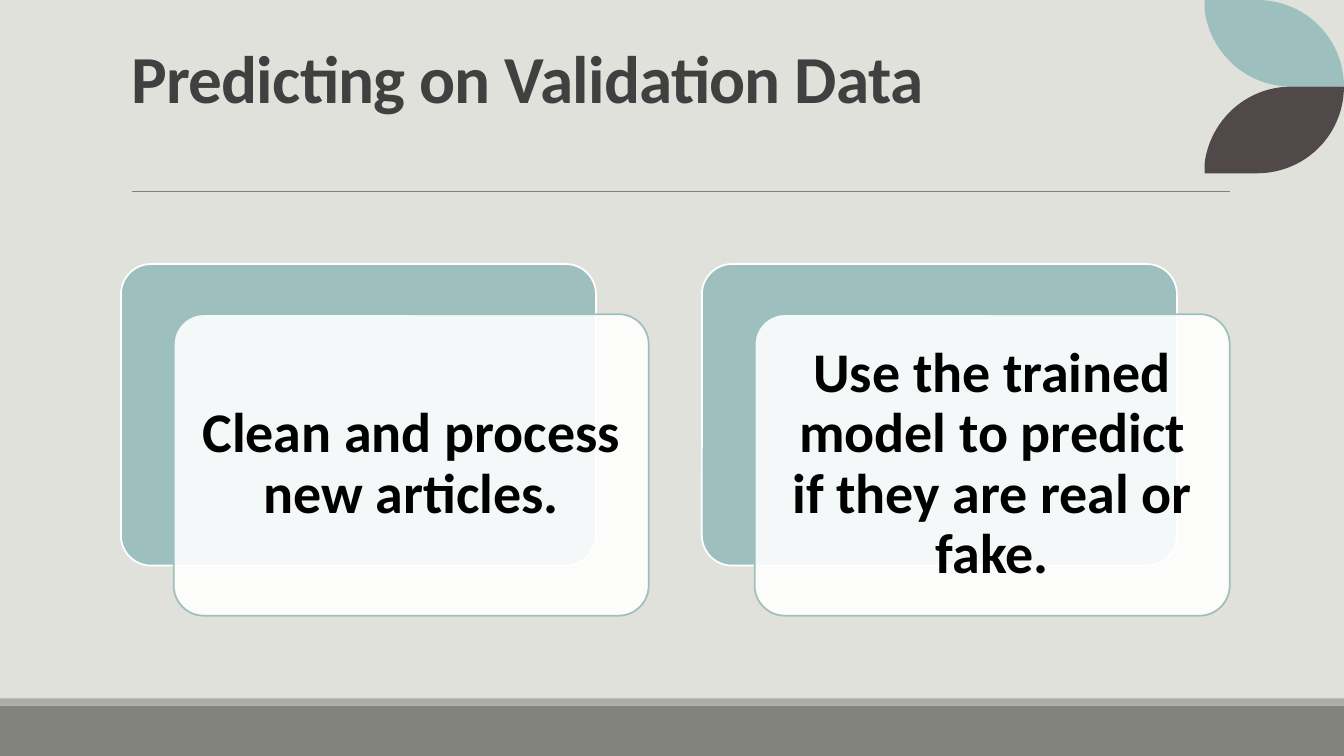
from dataclasses import dataclass

from lxml.etree import SubElement
from pptx import Presentation
from pptx.dml.color import RGBColor
from pptx.enum.shapes import MSO_CONNECTOR as Connector, MSO_SHAPE as Shape
from pptx.enum.text import MSO_ANCHOR as Anchor, MSO_AUTO_SIZE as AutoSize, PP_ALIGN as Align
from pptx.oxml.ns import qn
from pptx.util import Pt


@dataclass(frozen=True)
class Theme:
    font: str = "Calibri"
    title_size: float = 48
    card_size: float = 40
    background: str = "E1E1DB"
    footer: str = "82847C"
    footer_edge: str = "ACADA8"
    rule: str = "808080"
    teal: str = "9DBFBE"
    brown: str = "514949"
    title: str = "404040"
    ink: str = "000000"
    white: str = "FFFFFF"


def apply(target, formats):
    for name, value in formats.items():
        setattr(target, name, value)


def curve(start, control_1, control_2, end, steps=24):
    """Points along a cubic Bezier curve, without its start."""
    points = []
    for step in range(1, steps + 1):
        t = step / steps
        weights = (1 - t) ** 3, 3 * t * (1 - t) ** 2, 3 * t ** 2 * (1 - t), t ** 3
        corners = list(zip(start, control_1, control_2, end))
        points.append(tuple(sum(w * c for w, c in zip(weights, axis)) for axis in corners))
    return points


class SlideBuilder:
    def __init__(self, slide, theme):
        self.slide, self.theme = slide, theme
        self.paint(slide.background.fill, theme.background)

    def paint(self, fill, color, opacity=100):
        fill.solid()
        fill.fore_color.rgb = RGBColor.from_string(color)
        if opacity < 100:
            rgb = fill._xPr.find(qn("a:solidFill")).find(qn("a:srgbClr"))
            SubElement(rgb, qn("a:alpha")).set("val", str(opacity * 1000))

    def finish(self, shape, fill, outline=None, opacity=100):
        shape.shadow.inherit = False
        self.paint(shape.fill, fill, opacity)
        if outline:
            self.paint(shape.line.fill, outline)
            shape.line.width = Pt(1.25)
        else:
            shape.line.fill.background()

    def set_text(self, frame, text, size, color, frame_format, paragraph_format, tracking=0):
        apply(frame, {"word_wrap": True, "auto_size": AutoSize.NONE, **frame_format})
        paragraph = frame.paragraphs[0]
        apply(paragraph, paragraph_format)
        run = paragraph.add_run()
        run.text = text
        apply(run.font, {"name": self.theme.font, "size": Pt(size), "bold": True})
        run.font.color.rgb = RGBColor.from_string(color)
        if tracking:
            run._r.get_or_add_rPr().set("spc", str(int(tracking * 100)))

    def title(self, text, left, top, width, height):
        heading = self.slide.shapes.title
        apply(heading, {"left": Pt(left), "top": Pt(top), "width": Pt(width), "height": Pt(height)})
        # The deep bottom margin keeps one free line under the heading.
        self.set_text(heading.text_frame, text, self.theme.title_size, self.theme.title,
                      {"vertical_anchor": Anchor.BOTTOM, "margin_bottom": Pt(53.4)},
                      {"alignment": Align.LEFT, "line_spacing": 0.85}, tracking=-0.5)

    def band(self, top, height, color):
        band = self.slide.shapes.add_shape(Shape.RECTANGLE, 0, Pt(top), Pt(960), Pt(height))
        self.finish(band, color)

    def rule(self, left, right, y):
        rule = self.slide.shapes.add_connector(
            Connector.STRAIGHT, Pt(left), Pt(y), Pt(right), Pt(y))
        self.paint(rule.line.fill, self.theme.rule)
        rule.line.width = Pt(0.5)
        SubElement(rule._element.spPr, qn("a:effectLst"))

    def leaf(self, left, tip_y, direction, color):
        """Leaf from its tip at the left, growing down (1) or up (-1)."""
        outline = [(0, 0), (37.5, 0),
                   *curve((37.5, 0), (72, 0), (99.6, 27.6), (99.6, 61.9)), (62, 61.9),
                   *curve((62, 61.9), (29.5, 61.9), (3.6, 37.4), (0, 6.5))]
        points = [(Pt(left + x), Pt(tip_y + direction * y)) for x, y in outline]
        builder = self.slide.shapes.build_freeform(*points[0], scale=1.0)
        builder.add_line_segments(points[1:], close=True)
        self.finish(builder.convert_to_shape(), color)

    def rounded(self, left, top, fill, outline, opacity=100):
        panel = self.slide.shapes.add_shape(
            Shape.ROUNDED_RECTANGLE, Pt(left), Pt(top), Pt(339.3), Pt(215.4))
        panel.adjustments[0] = 0.1
        self.finish(panel, fill, outline, opacity)
        return panel

    def card(self, text, left, top):
        """White text panel offset over a teal one."""
        theme = self.theme
        self.rounded(left, top, theme.teal, theme.white)
        front = self.rounded(left + 37.7, top + 35.8, theme.white, theme.teal, opacity=90)
        sides = ("left", "top", "right", "bottom")
        margins = {f"margin_{side}": Pt(12) for side in sides}
        self.set_text(front.text_frame, text, theme.card_size, theme.ink,
                      {"vertical_anchor": Anchor.MIDDLE, **margins},
                      {"alignment": Align.CENTER, "line_spacing": 0.9})


def main():
    deck = Presentation()
    deck.slide_width, deck.slide_height = Pt(960), Pt(540)
    theme = Theme()
    page = SlideBuilder(deck.slides.add_slide(deck.slide_layouts[5]), theme)

    page.band(504, 36, theme.footer)
    page.band(498.8, 5.2, theme.footer_edge)
    page.rule(94.3, 878.8, 136.7)
    page.leaf(860.4, 0, 1, theme.teal)
    page.leaf(860.4, 123.8, -1, theme.brown)
    page.title("Predicting on Validation Data", 86.4, 22.3, 792, 114.5)

    steps = ("Clean and process new articles.",
             "Use the trained model to predict if they are real or fake.")
    for index, step in enumerate(steps):
        page.card(step, 86.4 + index * 415, 188.6)

    deck.save("out.pptx")


if __name__ == "__main__":
    main()
